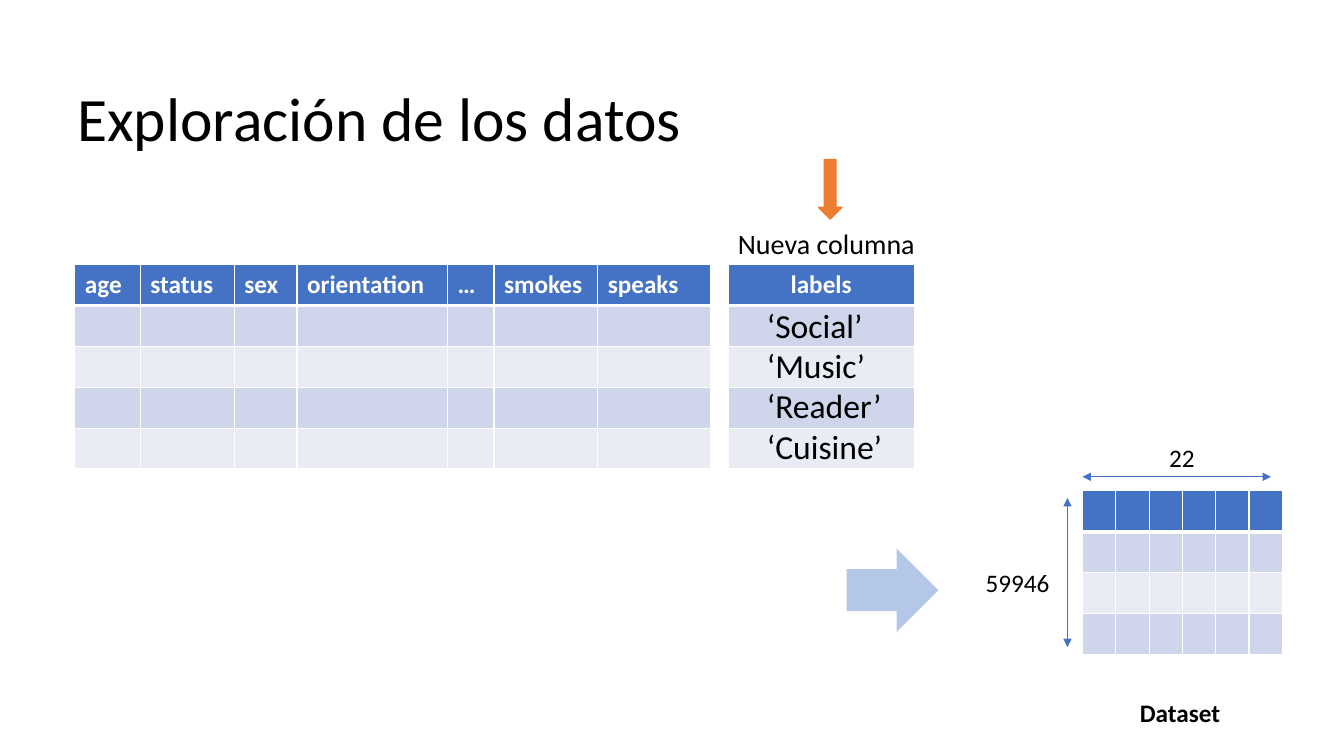
from lxml.etree import SubElement
from pptx import Presentation
from pptx.dml.color import RGBColor
from pptx.enum.shapes import MSO_CONNECTOR as Connector, MSO_SHAPE as Shape
from pptx.enum.text import MSO_ANCHOR as Anchor, PP_ALIGN as Align
from pptx.oxml.ns import qn
from pptx.util import Pt

BLUE = RGBColor(0x44, 0x72, 0xC4)
PALE_BLUE = RGBColor(0xB4, 0xC7, 0xE7)
ORANGE = RGBColor(0xED, 0x7D, 0x31)
BAND_DARK = RGBColor(0xCF, 0xD5, 0xEA)
BAND_LIGHT = RGBColor(0xE9, 0xEB, 0xF5)
WHITE = RGBColor(0xFF, 0xFF, 0xFF)
BLACK = RGBColor(0, 0, 0)
ROW_HEIGHT = 29.2


class SlideBuilder:
    font_name = "Calibri"

    def __init__(self, deck):
        self.page = deck.slides.add_slide(deck.slide_layouts[5])

    def style(self, frame, size, color=BLACK, bold=False, align=Align.LEFT):
        for para in frame.paragraphs:
            para.alignment = align
            for span in para.runs:
                span.font.name = self.font_name
                span.font.size = Pt(size)
                span.font.bold = bold
                span.font.color.rgb = color

    def title(self, text, left, top, width, height):
        box = self.page.shapes.title
        box.left, box.top, box.width, box.height = Pt(left), Pt(top), Pt(width), Pt(height)
        frame = box.text_frame
        frame.text = text
        frame.vertical_anchor = Anchor.MIDDLE
        frame.paragraphs[0].line_spacing = 0.9
        self.style(frame, 44)

    def text(self, text, left, top, width, height, size=18, bold=False):
        box = self.page.shapes.add_textbox(Pt(left), Pt(top), Pt(width), Pt(height))
        box.text_frame.word_wrap = True
        box.text_frame.text = text
        self.style(box.text_frame, size, bold=bold)

    def arrow_shape(self, kind, left, top, width, height, color, outlined=False):
        arrow = self.page.shapes.add_shape(kind, Pt(left), Pt(top), Pt(width), Pt(height))
        arrow.shadow.inherit = False
        arrow.fill.solid()
        arrow.fill.fore_color.rgb = color
        if outlined:
            arrow.line.color.rgb = color
            arrow.line.width = Pt(1)
        else:
            arrow.line.fill.background()

    def dimension(self, start_x, start_y, end_x, end_y):
        line = self.page.shapes.add_connector(
            Connector.STRAIGHT, Pt(start_x), Pt(start_y), Pt(end_x), Pt(end_y))
        line.line.color.rgb = BLUE
        line.line.width = Pt(0.5)
        outline = line.line._get_or_add_ln()
        for end in ("a:headEnd", "a:tailEnd"):
            SubElement(outline, qn(end), type="triangle")
        SubElement(line._element.spPr, qn("a:effectLst"))

    def border(self, cell, side, width):
        properties = cell._tc.get_or_add_tcPr()
        edge = SubElement(properties, qn(f"a:ln{side}"), w=str(Pt(width)))
        fill = SubElement(edge, qn("a:solidFill"))
        SubElement(fill, qn("a:srgbClr"), val=str(WHITE))

    def table(self, left, top, widths, row_count, headers=(), align=Align.LEFT,
              anchor=Anchor.TOP):
        grid = self.page.shapes.add_table(
            row_count, len(widths), Pt(left), Pt(top),
            Pt(sum(widths)), Pt(ROW_HEIGHT * row_count)).table
        for column, width in zip(grid.columns, widths):
            column.width = Pt(width)
        for index, row in enumerate(grid.rows):
            row.height = Pt(ROW_HEIGHT)
            color = BLUE if index == 0 else BAND_DARK if index % 2 else BAND_LIGHT
            for cell in row.cells:
                for side in "LRTB":
                    under_header = (index, side) in ((0, "B"), (1, "T"))
                    self.border(cell, side, 3 if under_header else 1)
                cell.fill.solid()
                cell.fill.fore_color.rgb = color
        for cell, header in zip(grid.rows[0].cells, headers):
            cell.text_frame.text = header
            cell.vertical_anchor = anchor
            self.style(cell.text_frame, 18, WHITE, True, align)


def main():
    deck = Presentation()
    deck.slide_width, deck.slide_height = Pt(960), Pt(540)
    slide = SlideBuilder(deck)

    slide.title("Exploración de los datos", 48, 34.5, 828, 104.4)

    slide.table(520, 189, [133.2], 5, ["labels"], Align.CENTER, Anchor.MIDDLE)
    slide.text("Nueva columna", 520, 158.4, 146, 31.5, 20)
    slide.arrow_shape(Shape.DOWN_ARROW, 584.6, 114, 16.8, 42.5, ORANGE, outlined=True)
    slide.text("‘Social’\n‘Music’\n‘Reader’\n‘Cuisine’", 540.7, 214, 115, 124, 24)

    slide.table(53.5, 189, [46.8, 67, 44.9, 107.5, 33.2, 74.2, 80.8], 5,
                ["age", "status", "sex", "orientation", "…", "smokes", "speaks"])

    slide.table(773.3, 350.6, [23.8] * 6, 4)
    slide.dimension(762.5, 355.7, 762.5, 462.2)
    slide.dimension(773.3, 340.6, 907.9, 340.6)
    slide.text("59946", 697, 401.8, 74, 29)
    slide.text("22", 828, 312.5, 33.1, 29)
    slide.text("Dataset", 807.1, 494.6, 75, 30, bold=True)
    slide.arrow_shape(Shape.RIGHT_ARROW, 604.8, 391.7, 65.5, 59.8, PALE_BLUE)

    deck.save("out.pptx")


if __name__ == "__main__":
    main()
